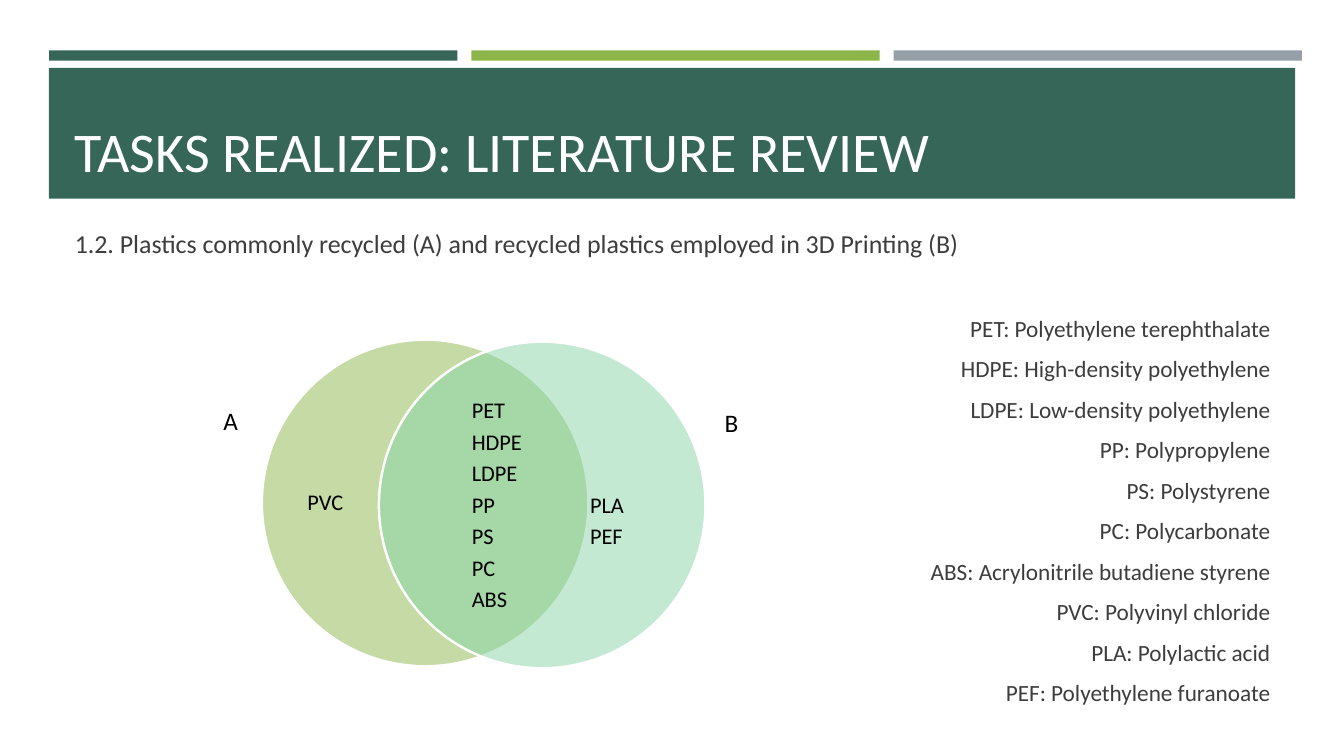
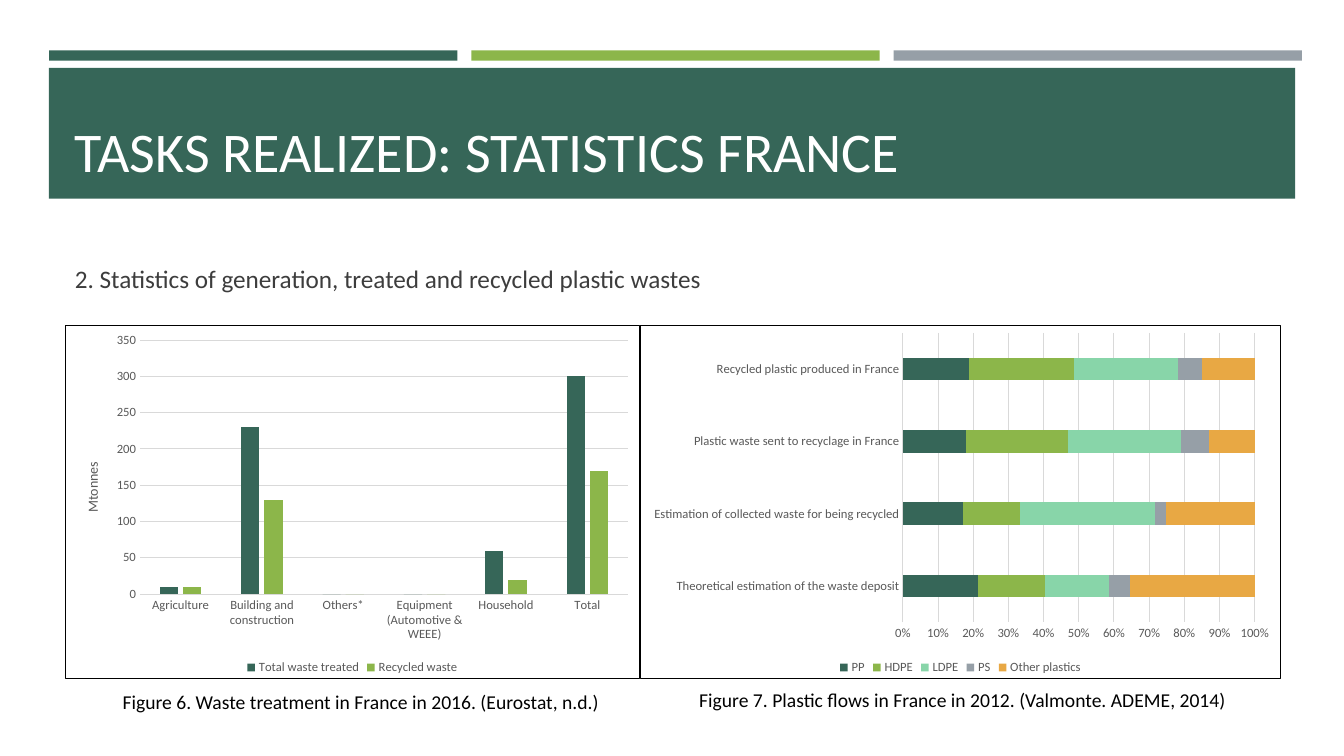
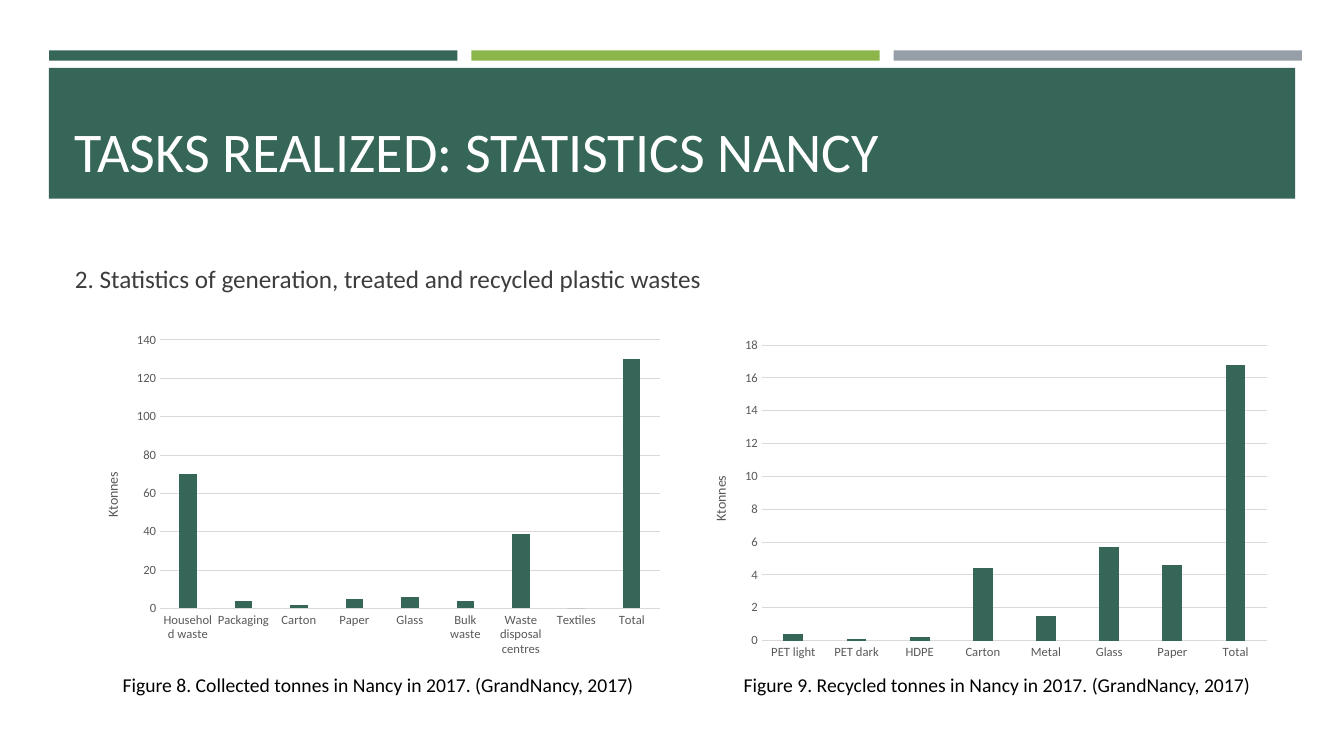
import dataclasses

import lxml.etree
import pptx
import pptx.chart.data
import pptx.dml.color
import pptx.enum.chart
import pptx.enum.shapes
import pptx.enum.text
import pptx.oxml.ns
import pptx.util

Cm = pptx.util.Cm
Pt = pptx.util.Pt
qn = pptx.oxml.ns.qn
RGB = pptx.dml.color.RGBColor.from_string
Align = pptx.enum.text.PP_ALIGN
Anchor = pptx.enum.text.MSO_ANCHOR
Shape = pptx.enum.shapes.MSO_SHAPE
Kind = pptx.enum.chart.XL_CHART_TYPE


@dataclasses.dataclass(frozen=True)
class Theme:
    font: str = "Calibri"
    pine: str = "366658"
    lime: str = "8CB64A"
    mint: str = "88D5A9"
    slate: str = "969FA7"
    amber: str = "E8A844"
    white: str = "FFFFFF"
    black: str = "000000"
    body: str = "3D3D3D"
    label: str = "595959"
    grid: str = "D9D9D9"
    head: float = 40
    lead: float = 18
    list: float = 16.6
    venn: float = 16
    note: float = 14
    axis: float = 10
    tick: float = 9


T = Theme()


def write(frame, text, size, color=T.black, align=Align.LEFT, anchor=Anchor.TOP,
          before=0, after=0, line=1.0, pad=None, wrap=True):
    """Add each line of text as a paragraph, filling an empty last one first."""
    frame.word_wrap = wrap
    frame.auto_size = pptx.enum.text.MSO_AUTO_SIZE.NONE
    frame.vertical_anchor = anchor
    if pad is not None:
        frame.margin_left = frame.margin_right = pad
        frame.margin_top = frame.margin_bottom = pad
    for part in text.split("\n"):
        last = frame.paragraphs[-1]
        para = frame.add_paragraph() if last.text else last
        para.alignment = align
        para.space_before, para.space_after = Pt(before), Pt(after)
        para.line_spacing = line
        run = para.add_run()
        run.text = part
        run.font.name, run.font.size = T.font, Pt(size)
        run.font.color.rgb = RGB(color)


def plot(slide, kind, place, inner, cats, rows, unit=None, step=None, top=None,
         lap=-27, frame=False, key=True):
    """Draw a bar chart; inner is the plot area as parts of the chart (x, y, w, h)."""
    data = pptx.chart.data.CategoryChartData()
    data.categories = cats
    for name, vals in rows:
        data.add_series(name, vals)
    chart = slide.shapes.add_chart(kind, *map(Cm, place), data).chart
    chart.has_title = False
    chart.font.name, chart.font.size = T.font, Pt(T.axis)
    bars = chart.plots[0]
    bars.gap_width, bars.overlap, bars.vary_by_categories = 219, lap, False
    for bar, color in zip(bars.series, (T.pine, T.lime, T.mint, T.slate, T.amber)):
        bar.format.fill.solid()
        bar.format.fill.fore_color.rgb = RGB(color)

    base, scale = chart.category_axis, chart.value_axis
    fonts = [base.tick_labels.font, scale.tick_labels.font]
    for axis in (base, scale):
        axis.major_tick_mark = pptx.enum.chart.XL_TICK_MARK.NONE
        axis.minor_tick_mark = pptx.enum.chart.XL_TICK_MARK.NONE
    base.has_major_gridlines = False
    scale.has_major_gridlines = True
    for stroke in (base.format.line, scale.major_gridlines.format.line):
        stroke.color.rgb, stroke.width = RGB(T.grid), Pt(0.75)
    scale.format.line.fill.background()
    scale.tick_labels.number_format = "General" if top else "0%"
    scale.tick_labels.number_format_is_linked = False
    if top:
        scale.minimum_scale, scale.maximum_scale, scale.major_unit = 0, top, step
    if unit:
        title = scale.axis_title.text_frame
        title.text = unit
        font = title.paragraphs[0].runs[0].font
        font.name, font.size, font.bold = T.font, Pt(T.axis), False
        font.color.rgb = RGB(T.label)
        title._txBody.bodyPr.set("rot", "-5400000")
    chart.has_legend = key
    if key:
        chart.legend.position = pptx.enum.chart.XL_LEGEND_POSITION.BOTTOM
        chart.legend.include_in_layout = False
        fonts.append(chart.legend.font)
    for font in fonts:
        font.name, font.size = T.font, Pt(T.tick)
        font.color.rgb = RGB(T.label)

    make = lxml.etree.SubElement
    area = chart.element.find(".//" + qn("c:plotArea"))
    for old in area.findall(qn("c:layout")):
        area.remove(old)
    spot = make(area, qn("c:layout"))
    area.insert(0, spot)
    spot = make(spot, qn("c:manualLayout"))
    modes = [("layoutTarget", "inner"), ("xMode", "edge"), ("yMode", "edge")]
    for tag, val in modes + list(zip("xywh", inner)):
        make(spot, qn("c:" + tag)).set("val", str(val))
    look = make(chart.element, qn("c:spPr"))
    chart.element.find(qn("c:chart")).addnext(look)
    make(look, qn("a:noFill"))
    edge = make(look, qn("a:ln"), w=str(Pt(0.75)))
    if frame:
        fill = make(edge, qn("a:solidFill"))
        make(fill, qn("a:srgbClr"), val=T.black)
    else:
        make(edge, qn("a:noFill"))


deck = pptx.Presentation()
deck.slide_width, deck.slide_height = Cm(33.87), Cm(19.05)
layout = deck.slide_layouts[1]

# Shared text style: left titles, body text without bullets
style = deck.slide_master.element.find(".//" + qn("p:txStyles"))
style.find(qn("p:titleStyle")).find(qn("a:lvl1pPr")).set("algn", "l")
level = style.find(qn("p:bodyStyle")).find(qn("a:lvl1pPr"))
level.set("marL", "0")
level.set("indent", "0")
mark = level.find(qn("a:buChar"))
mark.addnext(lxml.etree.Element(qn("a:buNone")))
level.remove(mark)

# Titles and lead lines
STATS = "2. Statistics of generation, treated and recycled plastic wastes"
PAGES = [
    ("LITERATURE REVIEW", 5.62, 12.8, 18.5,
     "1.2. Plastics commonly recycled (A) and recycled plastics employed in 3D Printing (B)"),
    ("STATISTICS FRANCE", 6.52, 1.2, T.lead, STATS),
    ("STATISTICS NANCY", 6.52, 1.2, T.lead, STATS),
]
slides = []
for topic, top, height, size, lead in PAGES:
    slide = deck.slides.add_slide(layout)
    slides.append(slide)
    for holder, place in zip(slide.placeholders,
                             ((1.63, 1.96, 30.63, 2.82), (1.63, top, 30.63, height))):
        holder.left, holder.top, holder.width, holder.height = map(Cm, place)
    write(slide.shapes.title.text_frame, "TASKS REALIZED: " + topic, T.head,
          color=T.white, anchor=Anchor.BOTTOM, line=0.9)
    write(slide.placeholders[1].text_frame, lead, size, color=T.body, after=6)
review, france, nancy = slides

# Bands are drawn once and moved to the layout
bands = [(1.24 + 10.64 * i, 1.27, 10.29, 0.26, color)
         for i, color in enumerate((T.pine, T.lime, T.slate))]
bands.append((1.23, 1.71, 31.41, 3.3, T.pine))
for i, (*place, color) in enumerate(bands):
    band = review.shapes.add_shape(Shape.RECTANGLE, *map(Cm, place))
    band.shadow.inherit = False
    band.fill.solid()
    band.fill.fore_color.rgb = RGB(color)
    band.line.fill.background()
    band.element.nvSpPr.cNvPr.set("id", str(20 + i))
    layout.shapes.element.insert(2 + i, band.element)

# Literature review: list of terms
TERMS = [
    "PET: Polyethylene terephthalate", "HDPE: High-density polyethylene",
    "LDPE: Low-density polyethylene", "PP: Polypropylene", "PS: Polystyrene",
    "PC: Polycarbonate", "ABS: Acrylonitrile butadiene styrene",
    "PVC: Polyvinyl chloride", "PLA: Polylactic acid", "PEF: Polyethylene furanoate",
]
for i, term in enumerate(TERMS):
    write(review.placeholders[1].text_frame, term, T.list, color=T.body,
          align=Align.RIGHT, before=3 if i else 33, after=6)

# Literature review: Venn diagram
for left, top, color in ((6.6, 8.56, T.lime), (9.55, 8.61, T.mint)):
    ring = review.shapes.add_shape(Shape.OVAL, Cm(left), Cm(top), Cm(8.23), Cm(8.23))
    ring.shadow.inherit = False
    ring.fill.solid()
    ring.fill.fore_color.rgb = RGB(color)
    tint = ring.element.spPr.find(".//" + qn("a:srgbClr"))
    lxml.etree.SubElement(tint, qn("a:alpha"), val="50000")
    ring.line.color.rgb, ring.line.width = RGB(T.white), Pt(1.75)
for left, top, width, text in (
        (7.75, 9.53, 2, "PVC"),
        (11.89, 9.6, 2.5, "PET\nHDPE\nLDPE\nPP\nPS\nPC\nABS"),
        (14.87, 10, 2, "PLA\nPEF")):
    box = review.shapes.add_textbox(Cm(left), Cm(top), Cm(width), Cm(6.3))
    write(box.text_frame, text, T.venn, anchor=Anchor.MIDDLE, after=5.3, line=0.9, pad=0)
for left, top, text in ((5.38, 10.08, "A"), (18.01, 10.13, "B")):
    box = review.shapes.add_textbox(Cm(left), Cm(top), Cm(0.9), Cm(1.02))
    write(box.text_frame, text, T.lead, wrap=False)

# Statistics France
plot(france, Kind.BAR_STACKED_100, (16.13, 8.2, 16.15, 8.92), (0.41, 0.02, 0.55, 0.82),
     ["Theoretical estimation of the waste deposit",
      "Estimation of collected waste for being recycled",
      "Plastic waste sent to recyclage in France",
      "Recycled plastic produced in France"],
     [("PP", (21, 17, 18, 19)), ("HDPE", (19, 16, 29, 30)), ("LDPE", (18, 38, 32, 30)),
      ("PS", (6, 3, 8, 7)), ("Other plastics", (35, 25, 13, 15))],
     lap=100, frame=True)
plot(france, Kind.COLUMN_CLUSTERED, (1.63, 8.2, 14.5, 8.92), (0.13, 0.04, 0.85, 0.72),
     ["Agriculture", "Building and construction", "Others*",
      "Equipment (Automotive & WEEE)", "Household", "Total"],
     [("Total waste treated", (10, 230, 0, 0, 60, 300)),
      ("Recycled waste", (10, 130, 0, 0, 20, 170))],
     unit="Mtonnes", step=50, top=350, frame=True)

# Statistics Nancy
plot(nancy, Kind.COLUMN_CLUSTERED, (2.11, 8.23, 14.81, 8.46), (0.13, 0.04, 0.85, 0.8),
     ["Household waste", "Packaging", "Carton", "Paper", "Glass", "Bulk waste",
      "Waste disposal centres", "Textiles", "Total"],
     [("Series 1", (70, 4, 2, 5, 6, 4, 39, 0, 130))],
     unit="Ktonnes", step=20, top=140, key=False)
plot(nancy, Kind.COLUMN_CLUSTERED, (17.42, 8.36, 14.81, 8.46), (0.12, 0.04, 0.86, 0.88),
     ["PET light", "PET dark", "HDPE", "Carton", "Metal", "Glass", "Paper", "Total"],
     [("Series 1", (0.4, 0.1, 0.2, 4.4, 1.5, 5.7, 4.6, 16.8))],
     unit="Ktonnes", step=2, top=18, key=False)

# Figure notes
for slide, left, top, text in (
        (france, 2.84, 17.25, "Figure 6. Waste treatment in France in 2016. (Eurostat, n.d.)"),
        (france, 17.37, 17.2, "Figure 7. Plastic flows in France in 2012. (Valmonte. ADEME, 2014)"),
        (nancy, 2.84, 16.84, "Figure 8. Collected tonnes in Nancy in 2017. (GrandNancy, 2017)"),
        (nancy, 18.49, 16.84, "Figure 9. Recycled tonnes in Nancy in 2017. (GrandNancy, 2017)")):
    box = slide.shapes.add_textbox(Cm(left), Cm(top), Cm(13.84), Cm(0.86))
    write(box.text_frame, text, T.note)

deck.save("out.pptx")
